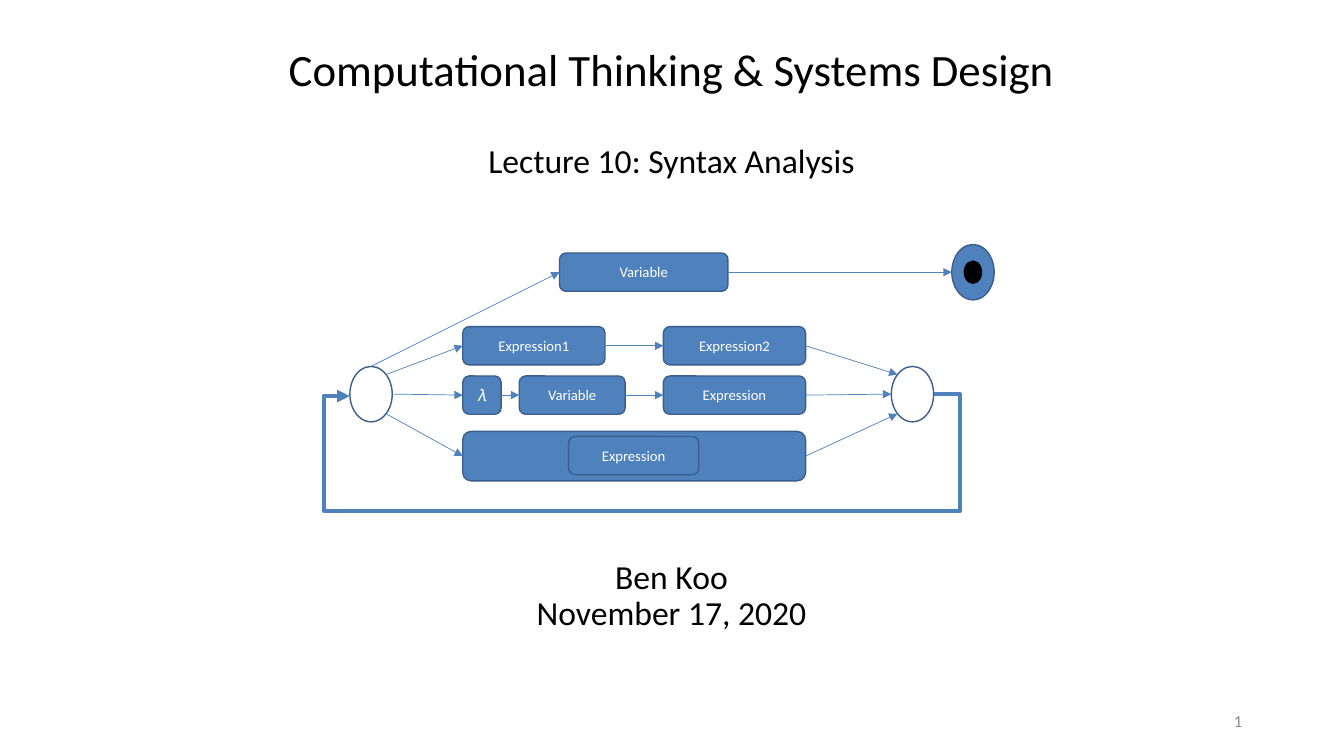
from dataclasses import dataclass
from math import sqrt

from lxml.etree import SubElement
from pptx import Presentation
from pptx.dml.color import RGBColor
from pptx.enum.shapes import MSO_CONNECTOR, MSO_SHAPE
from pptx.enum.text import MSO_ANCHOR, MSO_AUTO_SIZE, PP_ALIGN
from pptx.oxml.ns import qn
from pptx.util import Inches, Pt


@dataclass(frozen=True)
class Theme:
    font: str = "Calibri"
    ink: str = "000000"
    page_number: str = "8C8C8C"
    on_fill: str = "FFFFFF"
    fill: str = "4F81BD"
    outline: str = "3A5F8C"
    title: float = 32
    subtitle: float = 24
    small: float = 12
    label: float = 10.5
    thin: float = 0.5
    border: float = 1
    thick: float = 3
    cell: float = 0.1  # side of a grid cell in inches


# Sides of a shape, as steps from its centre
TOP, LEFT, BOTTOM, RIGHT = SIDES = [(0, -1), (-1, 0), (0, 1), (1, 0)]
DIAG = 1 / sqrt(2)


class Deck:
    def __init__(self, theme):
        self.theme = theme
        self.prs = Presentation()
        self.prs.slide_width, self.prs.slide_height = Inches(13.33), Inches(7.5)
        self.s = self.prs.slides.add_slide(self.prs.slide_layouts[5])

    def grid(self, *cells):
        """Turn columns and rows into lengths."""
        return [Inches(c * self.theme.cell) for c in cells]

    def format(self, tf, sizes, color, align=PP_ALIGN.CENTER, spacing=None):
        for p, size in zip(tf.paragraphs, sizes):
            p.alignment, p.line_spacing = align, spacing
            for r in p.runs:
                r.font.name, r.font.size = self.theme.font, Pt(size)
                r.font.color.rgb = RGBColor.from_string(color)

    def heading(self, sp, text, sizes):
        tf = sp.text_frame
        tf.text = text
        tf.word_wrap, tf.auto_size = True, MSO_AUTO_SIZE.NONE
        tf.vertical_anchor = MSO_ANCHOR.TOP
        tf.margin_left = tf.margin_right = Inches(0.13)
        tf.margin_top = tf.margin_bottom = Inches(0.13)
        self.format(tf, sizes, self.theme.ink, spacing=0.9)
        return tf

    def title(self, text, sizes, *at):
        sp = self.s.shapes.title
        sp.left, sp.top, sp.width, sp.height = self.grid(*at)
        return self.heading(sp, text, sizes)

    def subtitle(self, text, sizes, *at):
        return self.heading(self.s.shapes.add_textbox(*self.grid(*at)), text, sizes)

    def page_number(self, text, *at):
        tf = self.s.shapes.add_textbox(*self.grid(*at)).text_frame
        tf.text = text
        tf.word_wrap, tf.vertical_anchor = True, MSO_ANCHOR.MIDDLE
        self.format(tf, [self.theme.small], self.theme.page_number, PP_ALIGN.RIGHT)

    def shape(self, kind, at, fill, line):
        sp = self.s.shapes.add_shape(kind, *self.grid(*at))
        sp.shadow.inherit = False
        if fill:
            sp.fill.solid()
            sp.fill.fore_color.rgb = RGBColor.from_string(fill)
        else:
            sp.fill.background()
        sp.line.color.rgb = RGBColor.from_string(line)
        sp.line.width = Pt(self.theme.border)
        return sp

    def box(self, text, *at, size=None):
        sp = self.shape(MSO_SHAPE.ROUNDED_RECTANGLE, at, self.theme.fill, self.theme.outline)
        if text:
            tf = sp.text_frame
            tf.text = text
            tf.vertical_anchor = MSO_ANCHOR.MIDDLE
            self.format(tf, [size or self.theme.label], self.theme.on_fill)
        return sp

    def state(self, cx, cy, w=4.2, h=5.5, fill=None, line=None):
        at = cx - w / 2, cy - h / 2, w, h
        return self.shape(MSO_SHAPE.OVAL, at, fill, line or self.theme.outline)

    def arrow_line(self, line, width):
        line.color.rgb = RGBColor.from_string(self.theme.fill)
        line.width = Pt(width)
        SubElement(line._get_or_add_ln(), qn("a:tailEnd"), type="triangle")

    def anchor(self, sp, side):
        dx, dy = side
        return (int(sp.left + sp.width * (1 + dx) / 2),
                int(sp.top + sp.height * (1 + dy) / 2))

    def arrow(self, start, start_side, end, end_side):
        c = self.s.shapes.add_connector(
            MSO_CONNECTOR.STRAIGHT, *self.anchor(start, start_side), *self.anchor(end, end_side))
        for sp, side, join in ((start, start_side, c.begin_connect),
                               (end, end_side, c.end_connect)):
            if sp.auto_shape_type == MSO_SHAPE.ROUNDED_RECTANGLE:
                join(sp, SIDES.index(side))
        self.arrow_line(c.line, self.theme.thin)
        SubElement(c._element.spPr, qn("a:effectLst"))

    def loop(self, start, end, reach, bottom):
        """Route an arrow out to the right, below everything, and back in from the left."""
        (x1, y1), (x2, y2) = self.anchor(start, RIGHT), self.anchor(end, LEFT)
        reach, bottom = self.grid(reach, bottom)
        y2 += Inches(0.02)
        fb = self.s.shapes.build_freeform(x1, y1)
        fb.add_line_segments([(x1 + reach, y1), (x1 + reach, bottom), (x2 - reach, bottom),
                              (x2 - reach, y2), (x2, y2)], close=False)
        sp = fb.convert_to_shape()
        sp.shadow.inherit = False
        sp.fill.background()
        self.arrow_line(sp.line, self.theme.thick)


def main():
    t = Theme()
    d = Deck(t)

    # Headings and page number
    tf = d.title("Computational Thinking & Systems Design\nLecture 10: Syntax Analysis",
                 [t.title, t.subtitle], 4.5, 3.4, 124.2, 14.6)
    tf.paragraphs[1].space_before = Pt(35)
    d.subtitle("Ben Koo\nNovember 17, 2020", [t.subtitle] * 2, 4.5, 54.3, 124.2, 19.3)
    d.page_number("1", 94.2, 69.5, 30, 4)

    # States
    start, merge = d.state(36.8, 39.1), d.state(90.5, 39.1)
    final = d.state(96.5, 27, fill=t.fill)
    d.state(96.5, 27, 1.7, 2.2, t.ink, t.ink)

    # Syntax rules, one row each
    left, second, wide, high = 45.9, 65.8, 14.1, 3.8
    variable = d.box("Variable", 55.5, 25.1, 16.7, high)
    expr1 = d.box("Expression1", left, 32.4, wide, high)
    expr2 = d.box("Expression2", second, 32.4, wide, high)
    lam = d.box("𝜆", left, 37.3, high, high, size=t.small)
    bound = d.box("Variable", 51.5, 37.3, 10.5, high)
    body = d.box("Expression", second, 37.3, wide, high)
    group = d.box("", left, 42.8, second + wide - left, 4.9)
    d.box("Expression", 56.4, 43.3, 12.9, high)

    # Arrows from the start, along the rows, and into the end states
    d.arrow(start, TOP, variable, LEFT)
    d.arrow(start, (DIAG, -DIAG), expr1, LEFT)
    d.arrow(start, RIGHT, lam, LEFT)
    d.arrow(start, (DIAG, DIAG), group, LEFT)
    for a, b in ((expr1, expr2), (lam, bound), (bound, body), (variable, final), (body, merge)):
        d.arrow(a, RIGHT, b, LEFT)
    d.arrow(expr2, RIGHT, merge, (-DIAG, -DIAG))
    d.arrow(group, RIGHT, merge, (-DIAG, DIAG))

    # Return path
    d.loop(merge, start, 2.6, 50.7)

    d.prs.save("out.pptx")


if __name__ == "__main__":
    main()
